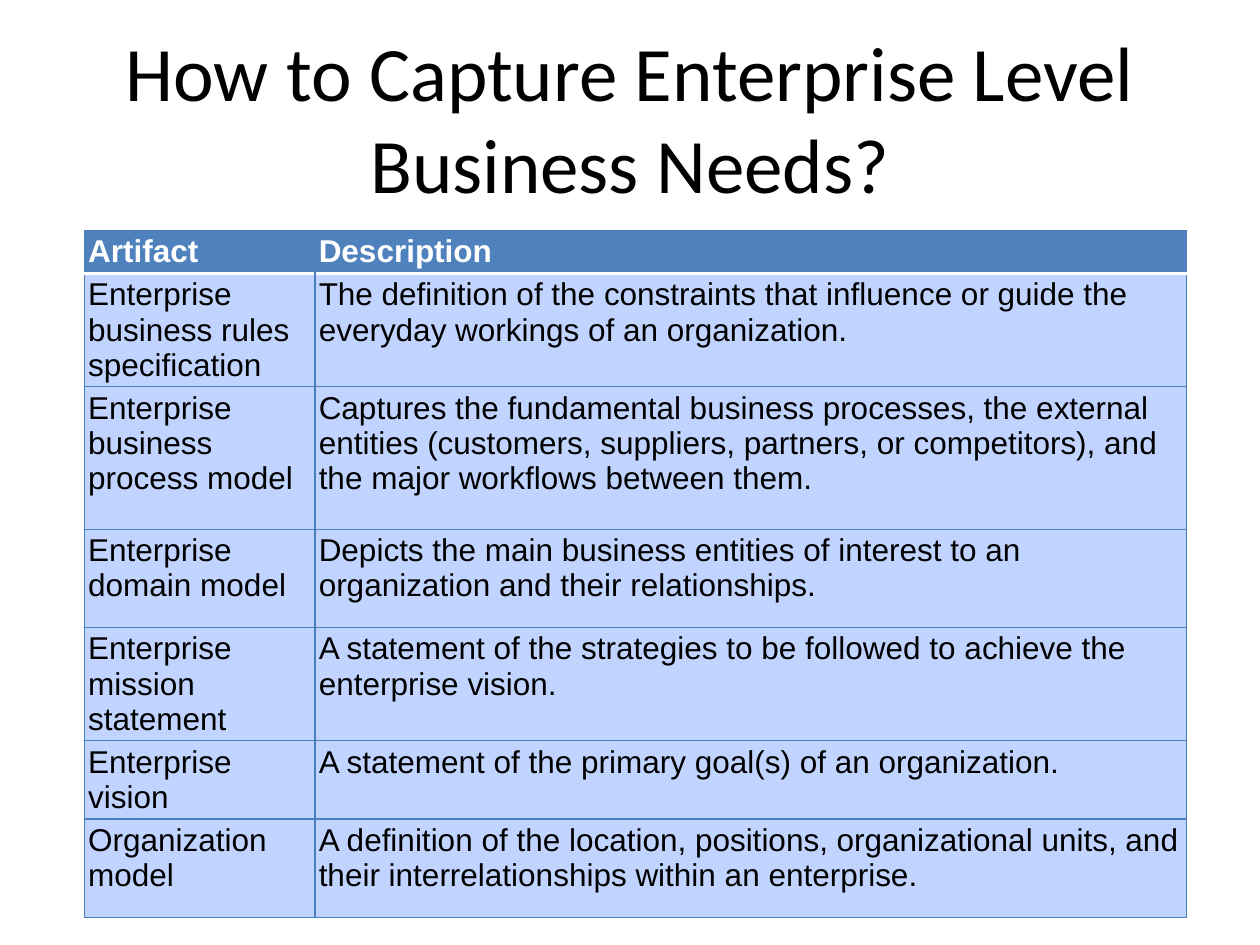
from lxml.etree import SubElement
from pptx import Presentation
from pptx.dml.color import RGBColor
from pptx.enum.text import MSO_ANCHOR, PP_ALIGN
from pptx.oxml.ns import qn
from pptx.util import Inches, Pt

COLORS = {
    "text": "000000",
    "header_text": "FFFFFF",
    "header_fill": "4F81BD",
    "body_fill": "C0D4FF",
    "grid": "4B7EBC",
    "header_rule": "FFFFFF",
}
TITLE = "How to Capture Enterprise Level Business Needs?"
TITLE_FONT = {"name": "Calibri", "size": Pt(44), "bold": False}
HEADER_FONT = {"name": "Arial", "size": Pt(18), "bold": True}
BODY_FONT = {**HEADER_FONT, "bold": False}
CELL_FORMAT = {
    "margin_left": Inches(0.03),
    "margin_right": Inches(0.03),
    "margin_top": Inches(0.03),
    "margin_bottom": Inches(0.03),
    "vertical_anchor": MSO_ANCHOR.TOP,
}
COLUMN_WIDTHS = [1.83, 6.92]
ROW_HEIGHTS = [0.34, 0.9, 1.13, 0.78, 0.9, 0.62, 0.78]
ARTIFACTS = [
    ("Artifact", "Description"),
    ("Enterprise business rules specification",
     "The definition of the constraints that influence or guide the everyday "
     "workings of an organization."),
    ("Enterprise business process model",
     "Captures the fundamental business processes, the external entities "
     "(customers, suppliers, partners, or competitors), and the major "
     "workflows between them."),
    ("Enterprise domain model",
     "Depicts the main business entities of interest to an organization and "
     "their relationships."),
    ("Enterprise mission statement",
     "A statement of the strategies to be followed to achieve the enterprise "
     "vision."),
    ("Enterprise vision",
     "A statement of the primary goal(s) of an organization."),
    ("Organization model",
     "A definition of the location, positions, organizational units, and "
     "their interrelationships within an enterprise."),
]


def apply_format(target, values):
    for attribute, value in values.items():
        setattr(target, attribute, value)


def format_paragraph(paragraph, font_values, color, alignment):
    paragraph.alignment = alignment
    apply_format(paragraph.font, font_values)
    paragraph.font.color.rgb = RGBColor.from_string(COLORS[color])


def add_title(slide):
    title = slide.shapes.title
    apply_format(title, {"left": Inches(0.5), "top": Inches(0.3),
                         "width": Inches(9), "height": Inches(1.25)})
    title.text_frame.text = TITLE
    title.text_frame.vertical_anchor = MSO_ANCHOR.MIDDLE
    format_paragraph(title.text_frame.paragraphs[0], TITLE_FONT, "text",
                     PP_ALIGN.CENTER)


def add_border(cell, side, color, points):
    border = SubElement(cell._tc.get_or_add_tcPr(), qn(f"a:ln{side}"),
                        w=str(Pt(points)))
    if color is None:
        SubElement(border, qn("a:noFill"))
    else:
        fill = SubElement(border, qn("a:solidFill"))
        SubElement(fill, qn("a:srgbClr"), val=COLORS[color])


def border_rules(row, column):
    grid, rule, hidden = ("grid", 0.75), ("header_rule", 2), (None, 0)
    rules = dict.fromkeys("LRTB", grid)
    if row == 0:
        rules["B"] = rule
        rules["R" if column == 0 else "L"] = hidden
    elif row == 1:
        rules["T"] = rule
    return rules


def fill_cell(cell, text, row, column):
    part = "header" if row == 0 else "body"
    apply_format(cell, CELL_FORMAT)
    for side, (color, points) in border_rules(row, column).items():
        add_border(cell, side, color, points)
    cell.fill.solid()
    cell.fill.fore_color.rgb = RGBColor.from_string(COLORS[f"{part}_fill"])
    cell.text = text
    format_paragraph(cell.text_frame.paragraphs[0],
                     HEADER_FONT if row == 0 else BODY_FONT,
                     "header_text" if row == 0 else "text", PP_ALIGN.LEFT)


def add_artifact_table(slide):
    table = slide.shapes.add_table(
        len(ARTIFACTS), len(COLUMN_WIDTHS), Inches(0.67), Inches(1.83),
        Inches(sum(COLUMN_WIDTHS)), Inches(sum(ROW_HEIGHTS))).table
    table.horz_banding = False
    for column, width in zip(table.columns, COLUMN_WIDTHS):
        column.width = Inches(width)
    for row, height in zip(table.rows, ROW_HEIGHTS):
        row.height = Inches(height)
    for row, texts in enumerate(ARTIFACTS):
        for column, text in enumerate(texts):
            fill_cell(table.cell(row, column), text, row, column)


def main():
    presentation = Presentation()
    apply_format(presentation, {"slide_width": Inches(10),
                                "slide_height": Inches(7.5)})
    slide = presentation.slides.add_slide(presentation.slide_layouts[5])
    add_title(slide)
    add_artifact_table(slide)
    presentation.save("out.pptx")


if __name__ == "__main__":
    main()
